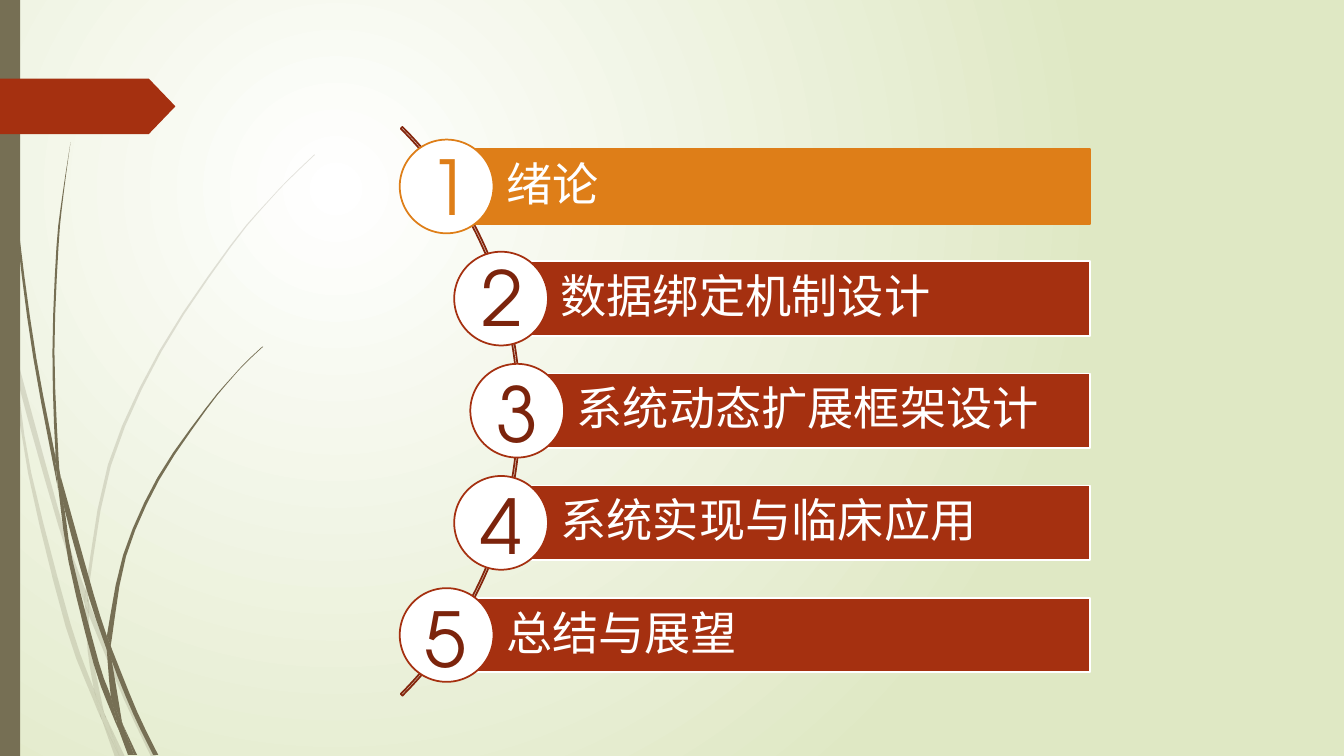
from lxml.etree import SubElement
from pptx import Presentation
from pptx.dml.color import RGBColor
from pptx.enum.shapes import MSO_SHAPE as Shape
from pptx.enum.text import MSO_ANCHOR as Anchor, MSO_AUTO_SIZE as AutoSize, PP_ALIGN as Align
from pptx.oxml.ns import qn
from pptx.util import Inches, Pt

WHITE = RGBColor(0xFF, 0xFF, 0xFF)
PALE_GREEN = RGBColor(0xDF, 0xE8, 0xC4)
OLIVE = RGBColor(0x76, 0x6F, 0x54)
RUST = RGBColor(0xA5, 0x30, 0x10)
DARK_RUST = RGBColor(0x84, 0x26, 0x0D)
DIGIT_RUST = RGBColor(0x7C, 0x24, 0x0C)
ORANGE = RGBColor(0xDE, 0x7E, 0x18)
FONT = "TeX Gyre Adventor"

CHAPTERS = [
    ("绪论", 4.43, (4.15, 1.34)),
    ("数据绑定机制设计", 4.97, (4.68, 2.44)),
    ("系统动态扩展框架设计", 5.13, (4.83, 3.59)),
    ("系统实现与临床应用", 4.97, (4.67, 4.7)),
    ("总结与展望", 4.43, (4.11, 5.82)),
]
FIRST_TOP, LAST_TOP, BAR_HEIGHT, BAR_RIGHT = 1.48, 5.93, 0.74, 10.81
PITCH = (LAST_TOP - FIRST_TOP) / (len(CHAPTERS) - 1)
DISC = 0.93

PALE_BLADES = [
    ([(0, 2.82), (0.09, 3.22), (0.11, 3.5)], [(0.1, 3.44), (0, 2.99)]),
    ([(0.14, 3.45), (0.62, 5.2), (0.85, 5.86)],
     [(0.84, 5.99), (0.58, 5.22), (0.17, 3.76), (0.14, 3.45)]),
    ([(0.88, 5.96), (0.92, 6.07), (1.27, 6.92), (1.55, 7.51)],
     [(1.5, 7.51), (1.23, 6.94), (0.88, 6.1)]),
    ([(1.05, 7.11), (1.24, 7.51)], [(1.19, 7.51), (1.05, 7.11)]),
    ([(0.11, 3.5), (0.17, 3.76), (0.31, 4.69), (0.7, 6.19), (0.93, 6.83)],
     [(0.99, 7.07), (1.01, 7.14), (0.92, 6.93), (0.65, 6.21), (0.28, 4.7), (0.11, 3.5)]),
    ([(0.84, 5.99), (0.88, 6.08), (0.88, 6.1), (0.91, 6.46), (1.03, 7.06), (1.05, 7.11)],
     [(0.96, 6.92), (0.93, 6.83), (0.87, 6.46), (0.84, 5.99)]),
    ([(3.12, 1.53), (2.89, 1.75), (2.68, 1.97), (2.28, 2.44), (1.58, 3.48), (1.07, 4.61),
      (0.85, 5.84), (0.85, 5.86)],
     [(0.88, 5.96), (0.88, 5.84), (1.1, 4.62), (1.6, 3.49), (2.29, 2.45), (2.68, 1.98),
      (2.9, 1.75), (3.12, 1.54)]),
    ([(1.01, 7.14), (1.14, 7.51)], [(1.19, 7.51), (1.01, 7.14)]),
    ([(0.85, 5.86), (0.84, 5.99), (0.88, 6.08)], [(0.88, 6.1), (0.88, 5.96), (0.85, 5.86)]),
    ([(0.93, 6.83), (0.99, 7.07), (1.01, 7.14), (1.19, 7.51)],
     [(1.19, 7.51), (1.05, 7.11), (0.96, 6.92), (0.93, 6.83)]),
]
DARK_BLADES = [
    ([(0.03, 0), (0.04, 0.48), (0.07, 1.1), (0.17, 2.33), (0.33, 3.55), (0.56, 4.77),
      (0.57, 4.81)],
     [(0.55, 4.57), (0.55, 4.53), (0.36, 3.55), (0.19, 2.32), (0.08, 1.09), (0.05, 0.48),
      (0.04, 0)]),
    ([(0.6, 4.72), (0.64, 5.05), (0.88, 5.92), (1.06, 6.45)],
     [(1.06, 6.33), (1.06, 6.31), (0.93, 5.9), (0.6, 4.72)]),
    ([(1.1, 6.41), (1.11, 6.56), (1.32, 7.08), (1.52, 7.49)],
     [(1.57, 7.49), (1.36, 7.06), (1.13, 6.49), (1.1, 6.41)]),
    ([(0.57, 4.77), (0.68, 5.57), (0.93, 6.59), (1.11, 7.08), (1.17, 7.22)],
     [(1.16, 7.17), (1.1, 6.91), (0.98, 6.57), (0.72, 5.56), (0.64, 5.05), (0.57, 4.77)]),
    ([(0.7, 1.41), (0.62, 1.93), (0.56, 2.45), (0.52, 3.49), (0.55, 4.49), (0.6, 4.72)],
     [(0.6, 4.72), (0.58, 4.53), (0.54, 3.49), (0.58, 2.45), (0.63, 1.93), (0.7, 1.41)]),
    ([(1.22, 7.19), (1.33, 7.49)], [(1.36, 7.49), (1.22, 7.19)]),
    ([(0.55, 4.49), (0.55, 4.53), (0.57, 4.77), (0.64, 5.05)], [(0.6, 4.72), (0.55, 4.49)]),
    ([(2.6, 3.44), (2.45, 3.58), (2.31, 3.73), (2.04, 4.05), (1.56, 4.74), (1.22, 5.51),
      (1.06, 6.31)],
     [(1.1, 6.41), (1.11, 6.33), (1.25, 5.52), (1.58, 4.76), (2.05, 4.06), (2.31, 3.74),
      (2.45, 3.59), (2.61, 3.44)]),
    ([(1.17, 7.22), (1.27, 7.49)], [(1.31, 7.49), (1.17, 7.22)]),
    ([(1.06, 6.45), (1.1, 6.91), (1.16, 7.06), (1.22, 7.19)],
     [(1.21, 7.16), (1.11, 6.56), (1.09, 6.51), (1.06, 6.45)]),
    ([(1.06, 6.31), (1.06, 6.45), (1.09, 6.51), (1.11, 6.56)], [(1.1, 6.41), (1.06, 6.31)]),
    ([(1.1, 6.91), (1.16, 7.17), (1.17, 7.22), (1.3, 7.49)],
     [(1.33, 7.49), (1.22, 7.19), (1.16, 7.06), (1.1, 6.91)]),
]


def paint(shape, fill=None, line=None):
    shape.shadow.inherit = False
    for part, color in ((shape.fill, fill), (shape.line.fill, line)):
        if color is None:
            part.background()
        else:
            part.solid()
            part.fore_color.rgb = color
    if line is not None:
        shape.line.width = Pt(1.25)
    return shape


def add_box(kind, left, top, width, height, fill=None, line=None):
    frame = map(Inches, (left, top, width, height))
    return paint(page.shapes.add_shape(kind, *frame), fill, line)


def write(shape, text, size, color, **frame_format):
    frame = shape.text_frame
    for name, value in frame_format.items():
        setattr(frame, name, value)
    para = frame.paragraphs[0]
    para.alignment = Align.LEFT
    span = para.add_run()
    span.text = text
    for name, value in {"size": Pt(size), "name": FONT}.items():
        setattr(span.font, name, value)
    span.font.color.rgb = color
    return para


def smooth(points, steps=3):
    padded = [points[0], *points, points[-1]]
    curve = [points[0]]
    for a, b, c, d in zip(padded, padded[1:], padded[2:], padded[3:]):
        for step in range(1, steps + 1):
            t = step / steps
            curve.append(tuple(
                b[i] + t * (c[i] - a[i]) / 2
                + t ** 2 * (2 * a[i] - 5 * b[i] + 4 * c[i] - d[i]) / 2
                + t ** 3 * (3 * b[i] - a[i] - 3 * c[i] + d[i]) / 2
                for i in (0, 1)))
    return curve


def add_blade(near_edge, far_edge):
    outline = smooth(near_edge) + smooth(far_edge)
    start, *rest = [(Inches(x), Inches(y)) for x, y in outline]
    builder = page.shapes.build_freeform(*start)
    builder.add_line_segments(rest, close=True)
    return paint(builder.convert_to_shape(), OLIVE)


def paint_background():
    fill = page.background.fill
    fill.gradient()
    for stop, color in zip(fill.gradient_stops, (WHITE, PALE_GREEN)):
        stop.color.rgb = color
    gradient = page.background._cSld.find(".//" + qn("a:gradFill"))
    linear = gradient.find(qn("a:lin"))
    if linear is not None:
        gradient.remove(linear)
    circle = SubElement(gradient, qn("a:path"), {"path": "circle"})
    SubElement(circle, qn("a:fillToRect"),
               {"l": "50000", "t": "50000", "r": "100000", "b": "100000"})


deck = Presentation()
deck.slide_width, deck.slide_height = Inches(13.33), Inches(7.5)
page = deck.slides.add_slide(deck.slide_layouts[6])
paint_background()

for edges in PALE_BLADES:
    blade = add_blade(*edges)
    tint = blade.fill._xPr.find(".//" + qn("a:srgbClr"))
    SubElement(tint, qn("a:alpha"), {"val": "20000"})
for edges in DARK_BLADES:
    add_blade(*edges)

add_box(Shape.RECTANGLE, 0, 0, 0.2, 7.5, OLIVE)
banner = add_box(Shape.PENTAGON, 0, 0.78, 1.74, 0.55, RUST)
banner.adjustments[0] = 0.48

arc = add_box(Shape.BLOCK_ARC, -2.82, 0.09, 7.98, 7.98, line=DARK_RUST)
for index, value in enumerate((189, 27, 0.003)):
    arc.adjustments[index] = value

for row, (title, left, _) in enumerate(CHAPTERS):
    top = FIRST_TOP + row * PITCH
    accent, border = (RUST, WHITE) if row else (ORANGE, ORANGE)
    bar = add_box(Shape.RECTANGLE, left, top, BAR_RIGHT - left, BAR_HEIGHT, accent, border)
    para = write(bar, title, 33, WHITE, word_wrap=True, vertical_anchor=Anchor.MIDDLE,
                 margin_left=Inches(0.59), margin_right=Inches(0.09),
                 margin_top=Inches(0.09), margin_bottom=Inches(0.09))
    para.line_spacing = 0.9
    add_box(Shape.OVAL, left - DISC / 2, top + (BAR_HEIGHT - DISC) / 2, DISC, DISC,
            WHITE, accent)

for number, (_, _, (left, top)) in enumerate(CHAPTERS, 1):
    box = page.shapes.add_textbox(*map(Inches, (left, top, 0.59, 1.01)))
    write(box, str(number), 54, ORANGE if number == 1 else DIGIT_RUST,
          word_wrap=False, auto_size=AutoSize.SHAPE_TO_FIT_TEXT)

deck.save("out.pptx")
